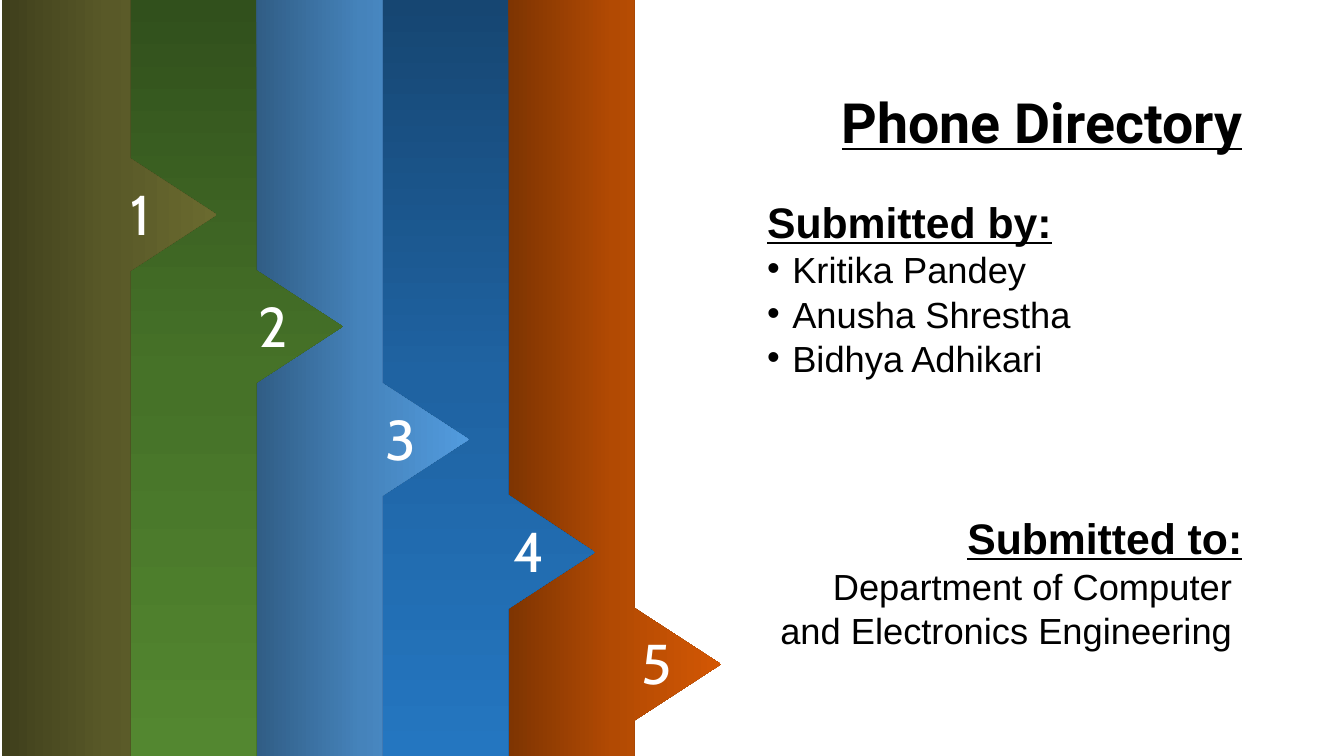
"""Build the cover slide of a phone directory project with five numbered ribbons."""
from copy import deepcopy

from lxml import etree
from pptx import Presentation
from pptx import util as u
from pptx.dml.color import RGBColor
from pptx.enum import text
from pptx.oxml.ns import qn

WIDTH, HEIGHT = 13.33, 7.5
TITLE = "Phone Directory"
RIBBONS = [
    ("1", 0, ("3F3F1C", "595928", "6A6A2F")),
    ("2", 270, ("31501C", "467228", "538730")),
    ("3", 0, ("305C84", "4583BB", "529BDE")),
    ("4", 270, ("164672", "1F63A2", "2476C0")),
    ("5", 0, ("7D3402", "B24A03", "D35704")),
]
LEFT, RIGHT = text.PP_ALIGN.LEFT, text.PP_ALIGN.RIGHT
GAP, SECTION_GAP = 10, 105
CREDITS = [
    ("Submitted by:", "heading", LEFT, GAP),
    ("Kritika Pandey", "bullet", LEFT, GAP),
    ("Anusha Shrestha", "bullet", LEFT, GAP),
    ("Bidhya Adhikari", "bullet", LEFT, GAP),
    ("Submitted to:", "heading", RIGHT, SECTION_GAP),
    ("Department of Computer ", "plain", RIGHT, GAP),
    ("and Electronics Engineering ", "plain", RIGHT, GAP),
]
UNITS_PER_INCH = 100
RIBBON_LEFT, RIBBON_STEP, RIBBON_WIDTH = 0.02, 1.25, 1.27
TIP_TOP, TIP_STEP, TIP_REACH, TIP_HALF = 2.13, 1.115, 0.86, 0.56
NUMBER_LEFT, NUMBER_STEP, NUMBER_RISE = 1.2, 1.265, 0.4


def color(value):
    return RGBColor.from_string(value)


def add_span(para, words, font, size, shade, strong=False):
    span = para.add_run()
    span.text = words
    span.font.name, span.font.size = font, u.Pt(size)
    span.font.color.rgb = color(shade)
    span.font.bold = span.font.underline = strong


def add_box(page, left, top, width, height):
    box = page.shapes.add_textbox(*map(u.Inches, (left, top, width, height)))
    box.text_frame.word_wrap = True
    return box.text_frame


def paint_gradient(shape, angle, shades):
    shape.fill.gradient()
    shape.fill.gradient_angle = angle
    stops = shape.element.find(".//" + qn("a:gsLst"))
    stops.append(deepcopy(stops[0]))
    for index, (stop, shade) in enumerate(zip(shape.fill.gradient_stops, shades)):
        stop.position = index / 2
        stop.color.rgb = color(shade)


def add_ribbon(page, index, number, angle, shades):
    left = RIBBON_LEFT + index * RIBBON_STEP
    right = left + RIBBON_WIDTH
    tip = TIP_TOP + index * TIP_STEP
    outline = [
        (left, 0), (right, 0), (right, tip - TIP_HALF), (right + TIP_REACH, tip),
        (right, tip + TIP_HALF), (right, HEIGHT), (left, HEIGHT),
    ]
    start, *corners = [(x * UNITS_PER_INCH, y * UNITS_PER_INCH) for x, y in outline]
    builder = page.shapes.build_freeform(*start, scale=u.Inches(1) / UNITS_PER_INCH)
    builder.add_line_segments(corners, close=True)
    ribbon = builder.convert_to_shape()
    ribbon.shadow.inherit = False
    ribbon.line.fill.background()
    paint_gradient(ribbon, angle, shades)
    frame = add_box(page, NUMBER_LEFT + index * NUMBER_STEP, tip - NUMBER_RISE, 0.48, 0.77)
    add_span(frame.paragraphs[0], number, "Cabin", 40, "FFFFFF")


def add_bullet(para):
    props = para._p.get_or_add_pPr()
    props.set("marL", str(u.Inches(0.25)))
    props.set("indent", str(-u.Inches(0.25)))
    etree.SubElement(props, qn("a:buFont"), typeface="Arial")
    etree.SubElement(props, qn("a:buChar"), char="•")


def add_title(page):
    title = page.shapes.title
    title.left, title.top = u.Inches(7.31), u.Inches(0.66)
    title.width, title.height = u.Inches(5.11), u.Inches(1.17)
    title.text_frame.vertical_anchor = text.MSO_ANCHOR.MIDDLE
    para = title.text_frame.paragraphs[0]
    para.alignment, para.line_spacing = RIGHT, 0.9
    add_span(para, TITLE, "Roboto", 39.6, "000000", True)


def add_credits(page):
    frame = add_box(page, 7.51, 2.03, 4.91, 4.72)
    for index, (words, kind, side, gap) in enumerate(CREDITS):
        para = frame.add_paragraph() if index else frame.paragraphs[0]
        para.alignment, para.line_spacing = side, 0.7
        para.space_before = u.Pt(gap if index else 0)
        if kind == "bullet":
            add_bullet(para)
        heading = kind == "heading"
        add_span(para, words, "Arial", 30.5 if heading else 25.9, "000000", heading)


def main():
    deck = Presentation()
    deck.slide_width, deck.slide_height = u.Inches(WIDTH), u.Inches(HEIGHT)
    page = deck.slides.add_slide(deck.slide_layouts[5])
    for index, ribbon in reversed(list(enumerate(RIBBONS))):
        add_ribbon(page, index, *ribbon)
    add_title(page)
    add_credits(page)
    deck.save("out.pptx")


if __name__ == "__main__":
    main()
